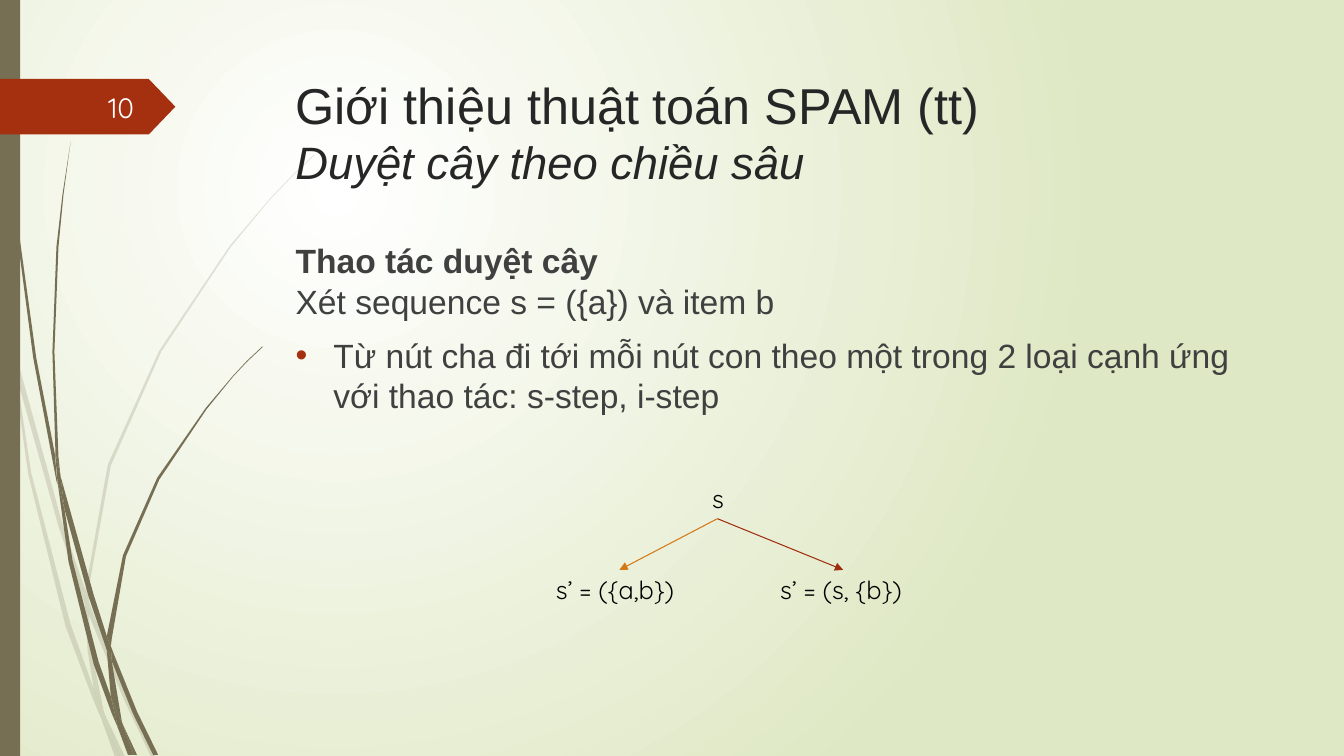
from lxml import etree
from pptx import Presentation
from pptx.dml.color import RGBColor
from pptx.enum.shapes import MSO_CONNECTOR, MSO_SHAPE
from pptx.enum.text import MSO_ANCHOR, MSO_AUTO_SIZE, PP_ALIGN
from pptx.oxml import parse_xml
from pptx.oxml.ns import nsdecls, qn
from pptx.util import Cm, Pt

STRAIGHT = MSO_CONNECTOR.STRAIGHT
RECTANGLE, PENTAGON = MSO_SHAPE.RECTANGLE, MSO_SHAPE.PENTAGON
TOP, MIDDLE = MSO_ANCHOR.TOP, MSO_ANCHOR.MIDDLE
LEFT, RIGHT = PP_ALIGN.LEFT, PP_ALIGN.RIGHT
NO_FIT = MSO_AUTO_SIZE.NONE

OLIVE = RGBColor(0x76, 0x6F, 0x54)
RUST = RGBColor(0xA5, 0x30, 0x10)
DARK_RUST = RGBColor(0x9E, 0x2E, 0x0F)
ORANGE = RGBColor(0xD4, 0x78, 0x17)
TITLE_GREY = RGBColor(0x26, 0x26, 0x26)
BODY_GREY = RGBColor(0x40, 0x40, 0x40)
BLACK = RGBColor(0, 0, 0)
NEAR_WHITE = RGBColor(0xFE, 0xFF, 0xFF)

PAGE_WIDTH, PAGE_HEIGHT = 33.87, 19.05

# Blades of grass: corners of each piece, in units of GRASS_UNIT
GRASS_UNIT = Cm(.0254)
PALE_BLADES = [
    [(11, 350), (9, 322), (0, 282), (0, 299), (10, 344)],
    [(58, 522), (84, 599), (85, 586), (62, 520), (14, 345), (17, 376)],
    [(92, 607), (88, 596), (88, 610), (123, 694), (150, 751), (155, 751), (127, 692)],
    [(119, 751), (124, 751), (105, 711)],
    [(93, 683), (70, 619), (31, 469), (17, 376), (11, 350), (28, 470), (65, 621),
     (92, 693), (101, 714), (99, 707)],
    [(84, 599), (87, 646), (93, 683), (96, 692), (105, 711), (103, 706), (91, 646),
     (88, 610), (88, 608)],
    [(88, 584), (110, 462), (160, 349), (229, 245), (268, 198), (290, 175), (312, 154),
     (312, 153), (289, 175), (268, 197), (228, 244), (158, 348), (107, 461), (85, 584),
     (85, 586), (88, 596)],
    [(101, 714), (114, 751), (119, 751)],
    [(88, 608), (88, 610), (88, 596), (85, 586), (84, 599)],
    [(96, 692), (93, 683), (99, 707), (101, 714), (119, 751), (105, 711)],
]
DARK_BLADES = [
    [(7, 110), (17, 233), (33, 355), (56, 477), (57, 481), (55, 457), (55, 453),
     (36, 355), (19, 232), (8, 109), (5, 48), (4, 0), (3, 0), (4, 48)],
    [(88, 592), (106, 645), (106, 633), (106, 631), (93, 590), (60, 472), (64, 505)],
    [(113, 649), (110, 641), (111, 656), (132, 708), (152, 749), (157, 749), (136, 706)],
    [(110, 691), (98, 657), (72, 556), (64, 505), (57, 477), (68, 557), (93, 659),
     (111, 708), (117, 722), (116, 717)],
    [(60, 472), (58, 453), (54, 349), (58, 245), (63, 193), (70, 141), (62, 193),
     (56, 245), (52, 349), (55, 449)],
    [(133, 749), (136, 749), (122, 719)],
    [(57, 477), (64, 505), (60, 472), (55, 449), (55, 453)],
    [(111, 633), (125, 552), (158, 476), (205, 406), (231, 374), (245, 359), (261, 344),
     (260, 344), (245, 358), (231, 373), (204, 405), (156, 474), (122, 551), (106, 631),
     (110, 641)],
    [(117, 722), (127, 749), (131, 749)],
    [(106, 645), (110, 691), (116, 706), (122, 719), (121, 716), (111, 656), (109, 651)],
    [(106, 645), (109, 651), (111, 656), (110, 641), (106, 631), (106, 633)],
    [(116, 706), (110, 691), (116, 717), (117, 722), (130, 749), (133, 749), (122, 719)],
]


def set_format(target, values):
    for name, value in values.items():
        setattr(target, name, value)


def add_span(para, text, color, **font):
    span = para.add_run()
    span.text = text
    span.font.color.rgb = color
    set_format(span.font, font)


def add_text_box(page, box, **frame_format):
    frame = page.shapes.add_textbox(*map(Cm, box)).text_frame
    set_format(frame, {"word_wrap": True, **frame_format})
    return frame


def paint(shape, color, alpha=None):
    shape.shadow.inherit = False
    shape.fill.solid()
    shape.fill.fore_color.rgb = color
    shape.line.fill.background()
    if alpha:
        tint = shape.element.spPr.find(".//" + qn("a:srgbClr"))
        etree.SubElement(tint, qn("a:alpha")).set("val", str(alpha * 1000))


def add_grass(page, blades, alpha=None):
    for start, *corners in blades:
        builder = page.shapes.build_freeform(*start, scale=GRASS_UNIT)
        builder.add_line_segments(corners, close=True)
        paint(builder.convert_to_shape(), OLIVE, alpha)


def add_backdrop(page):
    # Radial background
    page.element.cSld.insert(0, parse_xml(
        f'<p:bg {nsdecls("p", "a")}><p:bgPr><a:gradFill rotWithShape="1"><a:gsLst>'
        '<a:gs pos="0"><a:srgbClr val="FFFFFF"/></a:gs>'
        '<a:gs pos="100000"><a:srgbClr val="DFE8C4"/></a:gs></a:gsLst>'
        '<a:path path="circle"><a:fillToRect l="50000" t="50000" r="100000" b="100000"/>'
        '</a:path></a:gradFill><a:effectLst/></p:bgPr></p:bg>'))
    # Grass and side bar
    add_grass(page, PALE_BLADES, alpha=20)
    add_grass(page, DARK_BLADES)
    bar = page.shapes.add_shape(RECTANGLE, 0, 0, Cm(.51), Cm(PAGE_HEIGHT))
    paint(bar, OLIVE)


def add_page_tag(page, box, number):
    left, top, width, height = box
    tag = page.shapes.add_shape(PENTAGON, *map(Cm, box))
    tag.adjustments[0] = .48
    paint(tag, RUST)
    frame = add_text_box(page, (left + 1.47, top + .2, width - 2.26, height - .38),
                         vertical_anchor=MIDDLE)
    para = frame.paragraphs[0]
    para.alignment = RIGHT
    add_span(para, number, NEAR_WHITE, name="Quicksand", size=Pt(20))


def add_title(page, box, heading, subheading):
    title = page.shapes.title
    set_format(title, dict(zip(("left", "top", "width", "height"), map(Cm, box))))
    set_format(title.text_frame, {"vertical_anchor": TOP, "auto_size": NO_FIT,
                                  "word_wrap": True})
    para = title.text_frame.paragraphs[0]
    para.alignment = LEFT
    add_span(para, heading, TITLE_GREY, name="Arial", size=Pt(36))
    para.add_line_break()
    add_span(para, subheading, TITLE_GREY, name="Arial", size=Pt(32.4), italic=True)
    page.shapes.element.append(title.element)  # in front of the grass


def add_body(page, box, heading, intro, bullet):
    frame = add_text_box(page, box)
    font = {"name": "Arial", "size": Pt(24)}
    lead, item = frame.paragraphs[0], frame.add_paragraph()
    lead.space_before = item.space_before = Pt(10)
    add_span(lead, heading, BODY_GREY, bold=True, **font)
    lead.add_line_break()
    add_span(lead, intro, BODY_GREY, **font)
    add_span(item, bullet, BODY_GREY, **font)
    layout = item._p.get_or_add_pPr()
    layout.set("marL", str(Cm(.95)))
    layout.set("indent", str(-Cm(.95)))
    color = etree.SubElement(layout, qn("a:buClr"))
    etree.SubElement(color, qn("a:srgbClr")).set("val", str(RUST))
    etree.SubElement(layout, qn("a:buFont")).set("typeface", "Arial")
    etree.SubElement(layout, qn("a:buChar")).set("char", "•")


def add_arrow(page, start, end, color):
    arrow = page.shapes.add_connector(STRAIGHT, *map(Cm, (*start, *end)))
    arrow.line.color.rgb = color
    arrow.line.width = Pt(.75)
    etree.SubElement(arrow.line._get_or_add_ln(), qn("a:tailEnd")).set("type", "triangle")
    etree.SubElement(arrow.element.spPr, qn("a:effectLst"))


def add_tree(page, box):
    left, top, width, height = box
    row = 1.02
    root = (left + 4.32, top + row)
    child_top = top + height - row
    # Arrows from the root to its children
    add_arrow(page, root, (left + 7.49, child_top), DARK_RUST)
    add_arrow(page, root, (left + 1.85, child_top), ORANGE)
    # Node labels
    for text, x, y, label_width in (("s", left + 3.94, top, .76),
                                    ("s’ = (s, {b})", left + width - 3.71, child_top, 3.71),
                                    ("s’ = ({a,b})", left, child_top, 3.71)):
        frame = add_text_box(page, (x, y, label_width, row), word_wrap=False)
        add_span(frame.paragraphs[0], text, BLACK, name="Quicksand", size=Pt(18))


def main():
    deck = Presentation()
    deck.slide_width, deck.slide_height = Cm(PAGE_WIDTH), Cm(PAGE_HEIGHT)
    page = deck.slides.add_slide(deck.slide_layouts.get_by_name("Title Only"))
    add_backdrop(page)
    add_page_tag(page, (0, 1.99, 4.42, 1.4), "10")
    add_title(page, (7.19, 1.73, 24.77, 3.56),
              "Giới thiệu thuật toán SPAM (tt)", "Duyệt cây theo chiều sâu")
    add_body(page, (7.2, 5.93, 24.77, 4.78),
             "Thao tác duyệt cây", "Xét sequence s = ({a}) và item b",
             "Từ nút cha đi tới mỗi nút con theo một trong 2 loại cạnh ứng "
             "với thao tác: s-step, i-step")
    add_tree(page, (13.76, 12.05, 9.36, 3.33))
    deck.save("out.pptx")


if __name__ == "__main__":
    main()
